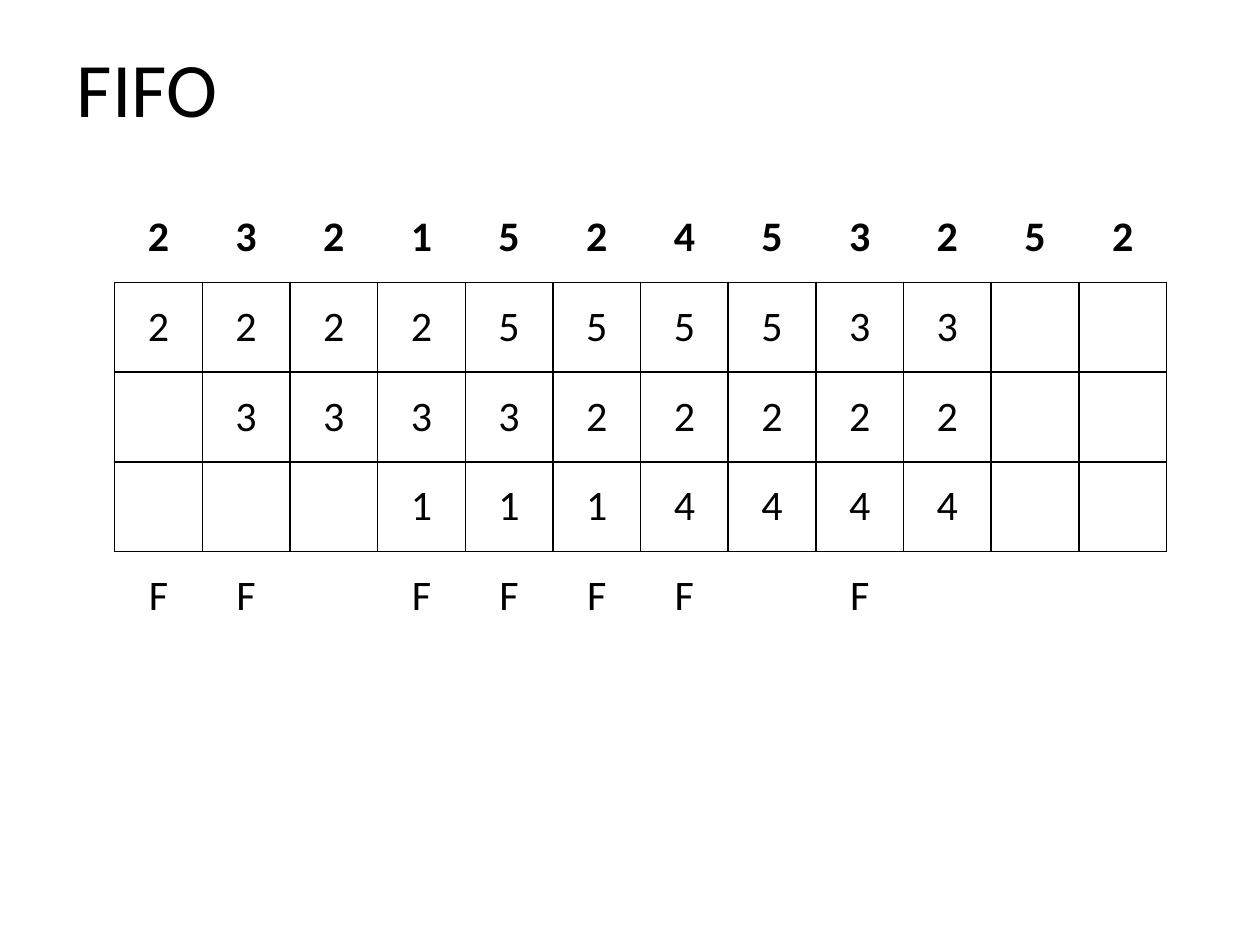
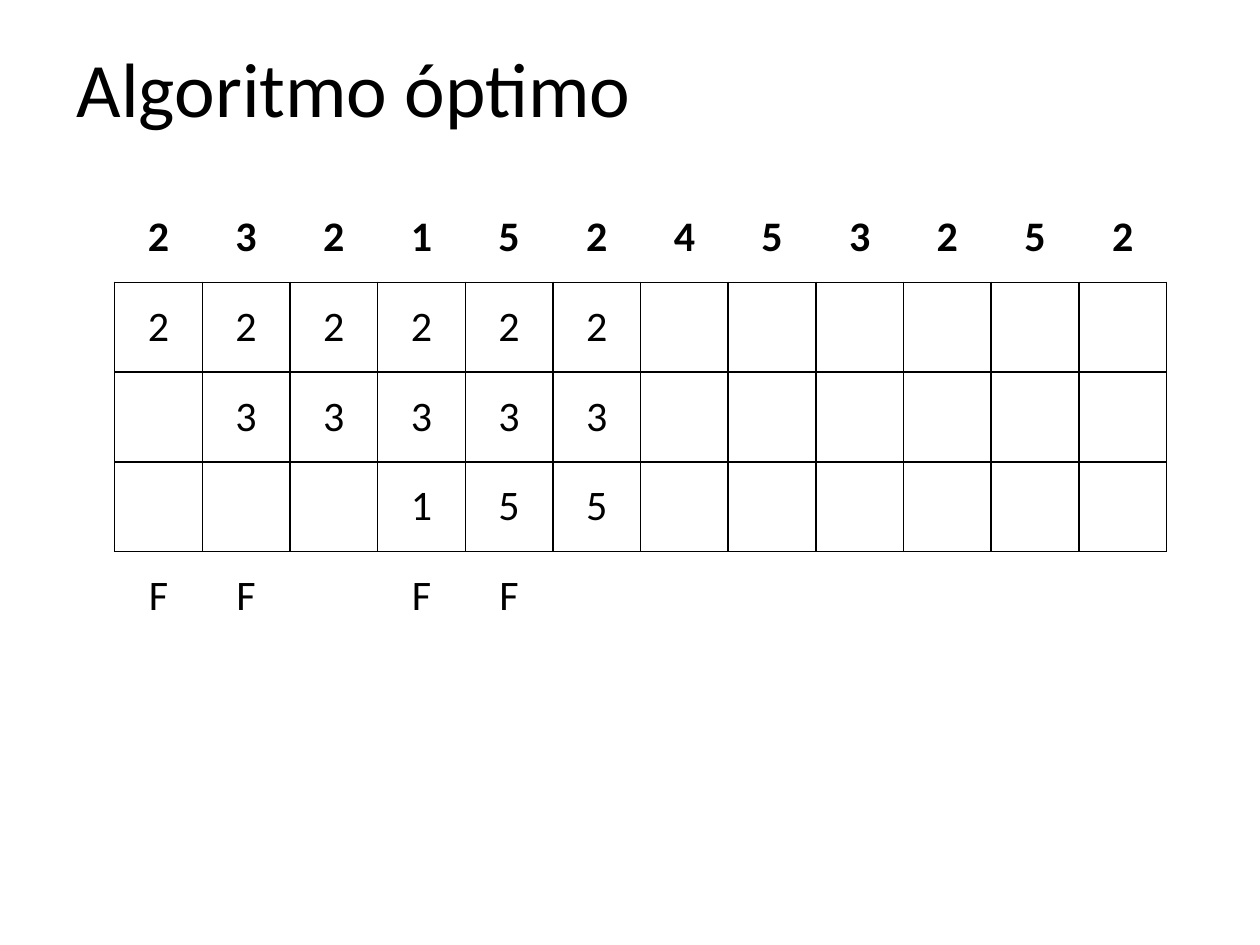
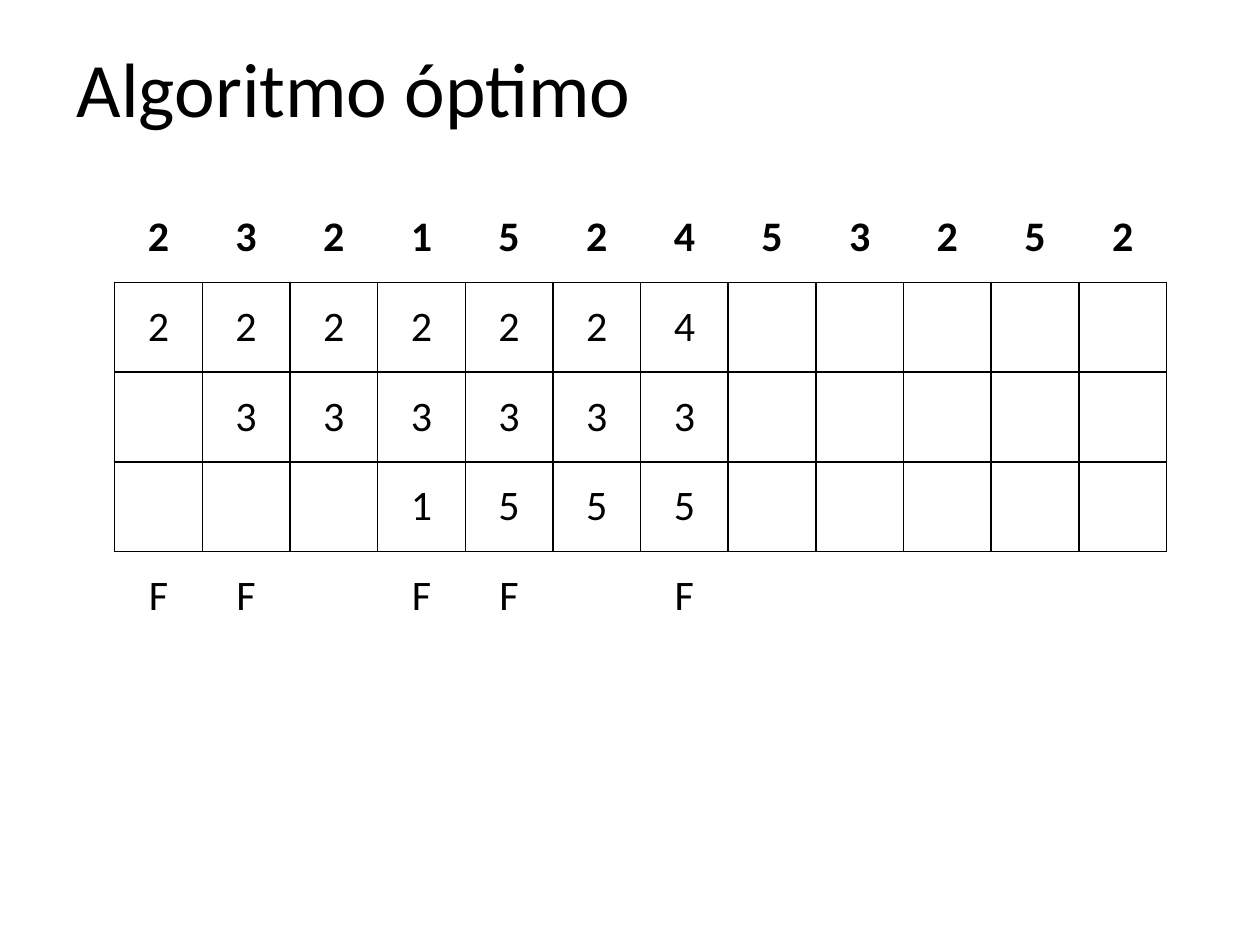
"""Build three slides that trace page replacement algorithms step by step."""
from dataclasses import dataclass

from lxml import etree
from pptx import Presentation
from pptx import util as u
from pptx.dml.color import RGBColor
from pptx.enum import text
from pptx.oxml.ns import qn
from pptx.slide import Slide
from pptx.table import _Cell
from pptx.text.text import TextFrame

INK = RGBColor(0x00, 0x00, 0x00)
FONT = "Calibri"
TITLE_SIZE, CELL_SIZE = u.Pt(44), u.Pt(24)
LINE_WIDTH = u.Pt(1)
SLIDE_WIDTH, SLIDE_HEIGHT = u.Inches(10), u.Inches(7.5)

TITLE_LEFT, TITLE_TOP, TITLE_HEIGHT = u.Inches(0.51), u.Inches(0.29), u.Inches(0.79)
TRACE_LEFT, TRACE_TOP = u.Inches(0.91), u.Inches(1.53)
TRACE_WIDTH, TRACE_HEIGHT = u.Inches(8.35), u.Inches(3.56)

REFERENCES = "232152453252"
EMPTY = "."


@dataclass(frozen=True)
class Trace:
    """One algorithm's memory frames and page faults, one character per step."""
    title: str
    title_width: float
    frames: tuple[str, ...]
    faults: str

    def rows(self) -> list[str]:
        """Return references, frames and faults, filled up to the last step."""
        steps = len(REFERENCES)
        return [row.ljust(steps, EMPTY) for row in (REFERENCES, *self.frames, self.faults)]


TRACES = (
    Trace("FIFO", 1.42, ("2222555533", ".333322222", "...1114444"), "FF.FFFF.F"),
    Trace("Algoritmo óptimo", 4.96, ("222222", ".33333", "...155"), "FF.FF"),
    Trace("Algoritmo óptimo", 4.96, ("2222224", ".333333", "...1555"), "FF.FF.F"),
)


def write(frame: TextFrame, content: str, size: u.Length, align: text.PP_ALIGN,
          bold: bool = False) -> None:
    """Put one formatted paragraph into a text frame."""
    frame.text = content
    paragraph = frame.paragraphs[0]
    paragraph.alignment = align
    for run in paragraph.runs:
        run.font.name, run.font.size, run.font.bold = FONT, size, bold
        run.font.color.rgb = INK


def set_borders(cell: _Cell, drawn: str) -> None:
    """Draw the named sides (L, R, T, B) of a cell and hide the others."""
    properties = cell._tc.get_or_add_tcPr()
    for side in "LRTB":
        line = etree.SubElement(properties, qn(f"a:ln{side}"), w=str(LINE_WIDTH))
        if side in drawn:
            fill = etree.SubElement(line, qn("a:solidFill"))
            etree.SubElement(fill, qn("a:srgbClr"), val=str(INK))
        else:
            etree.SubElement(line, qn("a:noFill"))


def add_title(slide: Slide, trace: Trace) -> None:
    """Place the algorithm's name and drop the unused subtitle."""
    title = slide.shapes.title
    title.left, title.top = TITLE_LEFT, TITLE_TOP
    title.width, title.height = u.Inches(trace.title_width), TITLE_HEIGHT
    write(title.text_frame, trace.title, TITLE_SIZE, text.PP_ALIGN.LEFT)
    title.text_frame.vertical_anchor = text.MSO_ANCHOR.MIDDLE
    title.text_frame.word_wrap = False
    subtitle = slide.placeholders[1].element
    subtitle.getparent().remove(subtitle)


def add_trace(slide: Slide, trace: Trace) -> None:
    """Draw references above, frames in a grid, and faults below."""
    rows = trace.rows()
    table = slide.shapes.add_table(len(rows), len(REFERENCES), TRACE_LEFT, TRACE_TOP,
                                   TRACE_WIDTH, TRACE_HEIGHT).table
    table.first_row = table.horz_banding = False
    last = len(rows) - 1
    sides = {0: "B", last: "T"}
    for step, row in enumerate(rows):
        for column, page in enumerate(row):
            cell = table.cell(step, column)
            cell.vertical_anchor = text.MSO_ANCHOR.MIDDLE
            set_borders(cell, sides.get(step, "LRTB"))
            cell.fill.background()
            if page != EMPTY:
                write(cell.text_frame, page, CELL_SIZE, text.PP_ALIGN.CENTER, bold=step == 0)


def main() -> None:
    """Build and save the presentation."""
    deck = Presentation()
    deck.slide_width, deck.slide_height = SLIDE_WIDTH, SLIDE_HEIGHT
    for trace in TRACES:
        slide = deck.slides.add_slide(deck.slide_layouts[0])
        add_title(slide, trace)
        add_trace(slide, trace)
    deck.save("out.pptx")


if __name__ == "__main__":
    main()
